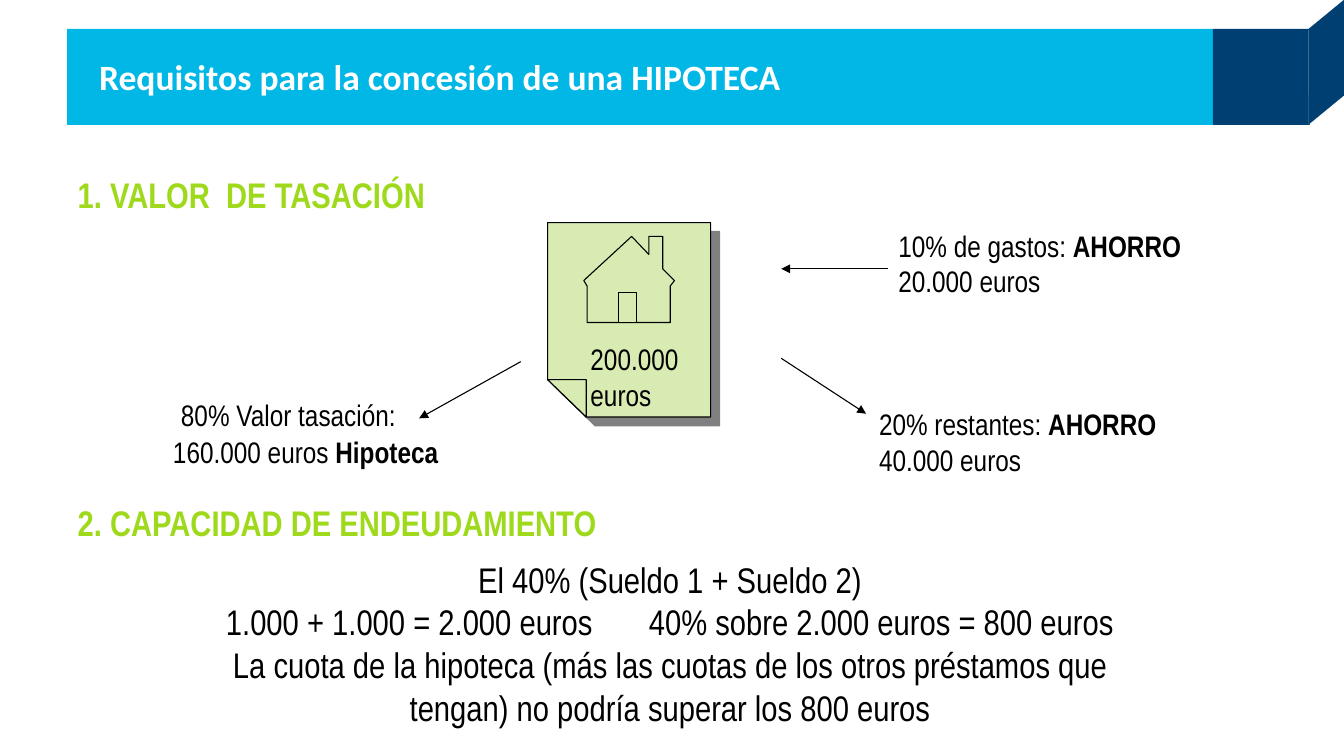
import pptx
import pptx.dml.color
import pptx.enum.shapes
import pptx.enum.text
import pptx.oxml
import pptx.oxml.ns
import pptx.util
from pptx.util import Cm

CYAN, NAVY, GREEN = "00B7E5", "003F72", "9ED91B"
PAPER, BLACK, WHITE, GREY = "D8EBB3", "000000", "FFFFFF", "808080"
BODY_FONT, TITLE_FONT = "Arial Narrow", "Calibri"
NAMESPACE = pptx.oxml.ns.nsdecls("a")
PRESET = pptx.enum.shapes.MSO_SHAPE


def color(hex_string):
    return pptx.dml.color.RGBColor.from_string(hex_string)


def paint(shape, fill, line, width):
    shape.shadow.inherit = False
    shape.fill.solid()
    shape.fill.fore_color.rgb = color(fill)
    shape.line.color.rgb = color(line)
    shape.line.width = pptx.util.Pt(width)


def add_run(paragraph, text, size, text_color=BLACK, bold=False, font=BODY_FONT):
    run = paragraph.add_run()
    run.text = text
    run.font.size = pptx.util.Pt(size)
    run.font.name = font
    run.font.bold = bold
    run.font.color.rgb = color(text_color)


def add_text(slide, box, lines, size, text_color=BLACK, wrap=True):
    """Place lines, each a list of (text, bold) runs, and return the paragraphs."""
    frame = slide.shapes.add_textbox(*map(Cm, box)).text_frame
    frame.word_wrap = wrap
    for index, runs in enumerate(lines):
        paragraph = frame.add_paragraph() if index else frame.paragraphs[0]
        for text, bold in runs:
            add_run(paragraph, text, size, text_color, bold)
    return frame.paragraphs


def add_solid(slide, preset, box, fill, rotation=0):
    shape = slide.shapes.add_shape(preset, *map(Cm, box))
    shape.rotation = rotation
    paint(shape, fill, fill, 0.1)
    return shape


def add_outline(slide, left, top, points):
    """Draw a closed paper outline whose points are measured from left and top."""
    corners = [(Cm(left + x), Cm(top + y)) for x, y in points]
    builder = slide.shapes.build_freeform(*corners[0], scale=1.0)
    builder.add_line_segments(corners[1:], close=True)
    shape = builder.convert_to_shape()
    paint(shape, PAPER, BLACK, 0.75)
    return shape


def add_arrow(slide, start, end):
    arrow = slide.shapes.add_connector(
        pptx.enum.shapes.MSO_CONNECTOR.STRAIGHT, *map(Cm, start + end))
    arrow.line.color.rgb = color(BLACK)
    arrow.line.width = pptx.util.Pt(0.75)
    arrow.line._get_or_add_ln().append(
        pptx.oxml.parse_xml(f'<a:tailEnd {NAMESPACE} type="triangle"/>'))
    arrow._element.spPr.append(pptx.oxml.parse_xml(f"<a:effectLst {NAMESPACE}/>"))


def add_banner(slide, left, top, width, height, title):
    """Title bar, ending in a folded ribbon that reaches the slide's right edge."""
    fold_width, rise = 0.84, 0.69
    bar_width = width - 3.12
    bar = add_solid(slide, PRESET.RECTANGLE, (left, top, bar_width, height), CYAN)
    frame = bar.text_frame
    frame.word_wrap = True
    frame.margin_left = Cm(0.76)
    frame.vertical_anchor = pptx.enum.text.MSO_ANCHOR.MIDDLE
    paragraph = frame.paragraphs[0]
    paragraph.alignment = pptx.enum.text.PP_ALIGN.LEFT
    add_run(paragraph, title, 24, WHITE, True, TITLE_FONT)

    fold_left = left + width - fold_width
    add_solid(slide, PRESET.RECTANGLE,
              (left + bar_width, top, width - bar_width - fold_width, height), NAVY)
    turn = (fold_width - rise) / 2
    for fold_top, rotation in ((top - rise, 270), (top + height - rise, 90)):
        add_solid(slide, PRESET.RIGHT_TRIANGLE,
                  (fold_left + turn, fold_top - turn, rise, fold_width), NAVY, rotation)
    add_solid(slide, PRESET.RECTANGLE, (fold_left, top, fold_width, height - rise), NAVY)


def add_house_note(slide, left, top, width, height):
    """Sheet with a turned corner, a house and the appraised price."""
    fold_x, fold_y = 0.92, height - 0.89
    sheet = [(0, 0), (width, 0), (width, height), (fold_x, height), (0, fold_y)]
    corner = [(0, fold_y), (fold_x, fold_y), (fold_x, height)]
    house = [(0.94, 1.51), (0.94, 2.38), (2.92, 2.38), (2.92, 1.51), (3.02, 1.38),
             (2.74, 1.1), (2.74, 0.33), (2.41, 0.33), (2.41, 0.76),
             (2, 0.33), (0.86, 1.38)]
    door = [(1.68, 2.38), (1.68, 1.66), (2.11, 1.66), (2.11, 2.38)]
    sheet_shape, *_ = [add_outline(slide, left, top, points)
                       for points in (sheet, corner, house, door)]
    effects = sheet_shape._element.spPr.find(pptx.oxml.ns.qn("a:effectLst"))
    effects.append(pptx.oxml.parse_xml(
        f'<a:outerShdw {NAMESPACE} dist="107950" dir="2700000" algn="ctr" rotWithShape="0">'
        f'<a:srgbClr val="{GREY}"/></a:outerShdw>'))
    add_text(slide, (left + 0.77, top + 2.7, 3.86, 1.96), [[("200.000 euros", False)]], 20)


def add_appraisal(slide, left, top):
    add_text(slide, (left, top, 8.89, 1.27), [[("1. VALOR  DE TASACIÓN", True)]],
             24, GREEN, wrap=False)
    add_house_note(slide, left + 11.44, top + 1.31, 3.88, 4.63)
    shares = [
        (19.54, 1.3, "10% de gastos: ", "AHORRO", "20.000 euros", ""),
        (19.08, 5.56, "20% restantes: ", "AHORRO", "40.000 euros", ""),
        (2.27, 5.34, "80% Valor tasación:", "", "160.000 euros ", "Hipoteca"),
    ]
    for x, y, label, label_bold, amount, amount_bold in shares:
        lines = [[(text, bold) for text, bold in pairs if text] for pairs in (
            ((label, False), (label_bold, True)),
            ((amount, False), (amount_bold, True)))]
        paragraphs = add_text(slide, (left + x, top + y, 10.2, 1.96), lines, 20)
    mortgage_label = paragraphs[0]
    mortgage_label.space_after = pptx.util.Pt(0.8)
    mortgage_label._p.get_or_add_pPr().set("indent", str(Cm(0.19)))
    for start, end in (((19.54, 2.41), (17, 2.41)),
                       ((17, 4.54), (19.02, 5.86)),
                       ((10.8, 4.62), (8.38, 5.97))):
        add_arrow(slide, (left + start[0], top + start[1]), (left + end[0], top + end[1]))


def add_debt_capacity(slide, left, top):
    add_text(slide, (left, top, 13.03, 1.27), [[("2. CAPACIDAD DE ENDEUDAMIENTO", True)]],
             24, GREEN, wrap=False)
    lines = [
        "El 40% (Sueldo 1 + Sueldo 2)",
        "\t1.000 + 1.000 = 2.000 euros\t40% sobre 2.000 euros = 800 euros",
        "La cuota de la hipoteca (más las cuotas de los otros préstamos que tengan) "
        "no podría superar los 800 euros",
    ]
    paragraphs = add_text(slide, (left + 3.2, top + 1.35, 22.3, 4.37),
                          [[(line, False)] for line in lines], 24)
    for paragraph in paragraphs:
        paragraph.alignment = pptx.enum.text.PP_ALIGN.CENTER
    sums = paragraphs[1]
    stops = "".join(f'<a:tab pos="{Cm(position)}" algn="l"/>' for position in (0.33, 10.4))
    sums._p.get_or_add_pPr().append(
        pptx.oxml.parse_xml(f"<a:tabLst {NAMESPACE}>{stops}</a:tabLst>"))
    sums.alignment = pptx.enum.text.PP_ALIGN.LEFT


def main():
    presentation = pptx.Presentation()
    presentation.slide_width, presentation.slide_height = Cm(32), Cm(18)
    slide = presentation.slides.add_slide(presentation.slide_layouts[6])
    add_banner(slide, 1.6, 0.69, 30.4, 2.27, "Requisitos para la concesión de una HIPOTECA")
    add_appraisal(slide, 1.6, 3.99)
    add_debt_capacity(slide, 1.6, 11.8)
    presentation.save("out.pptx")


if __name__ == "__main__":
    main()
